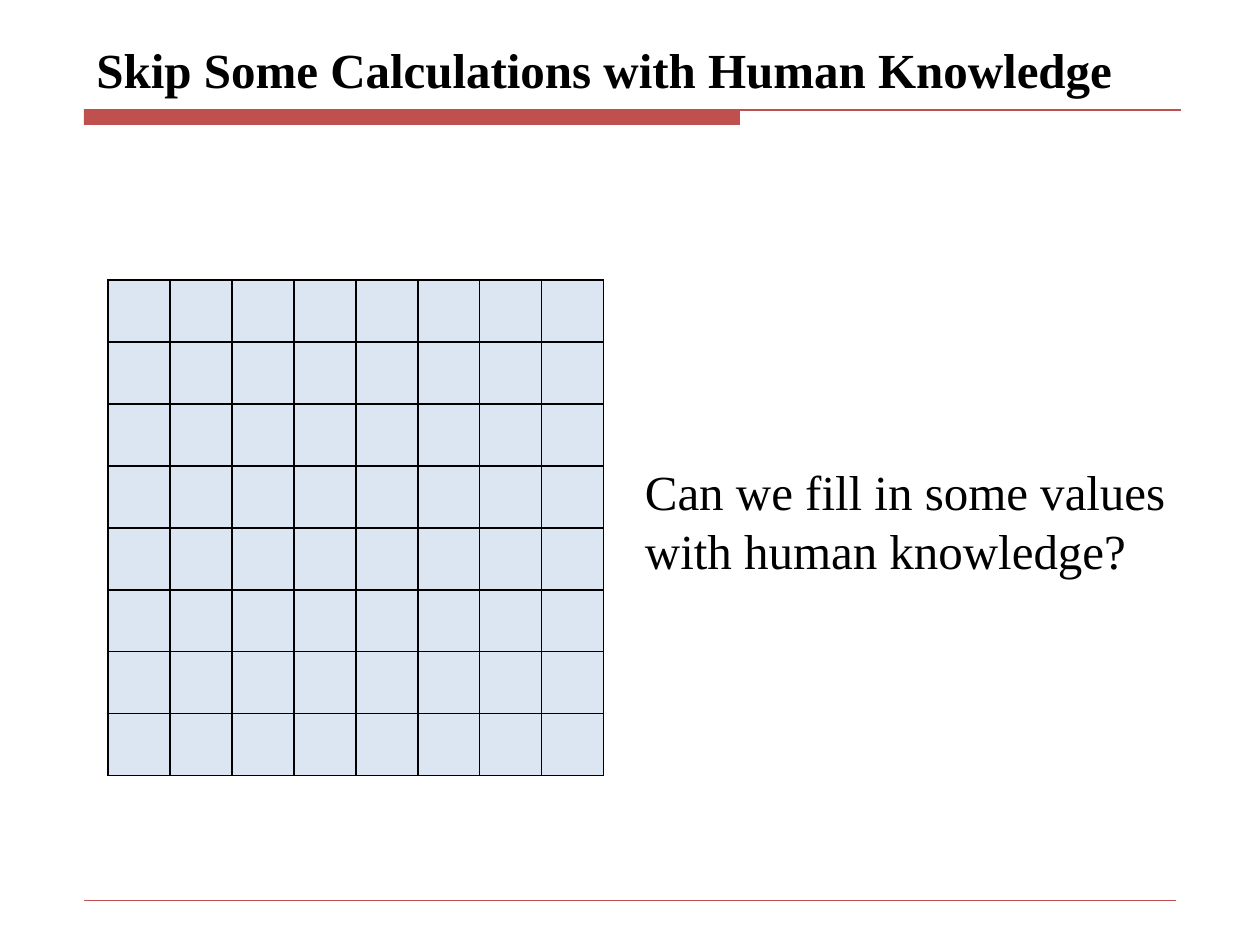
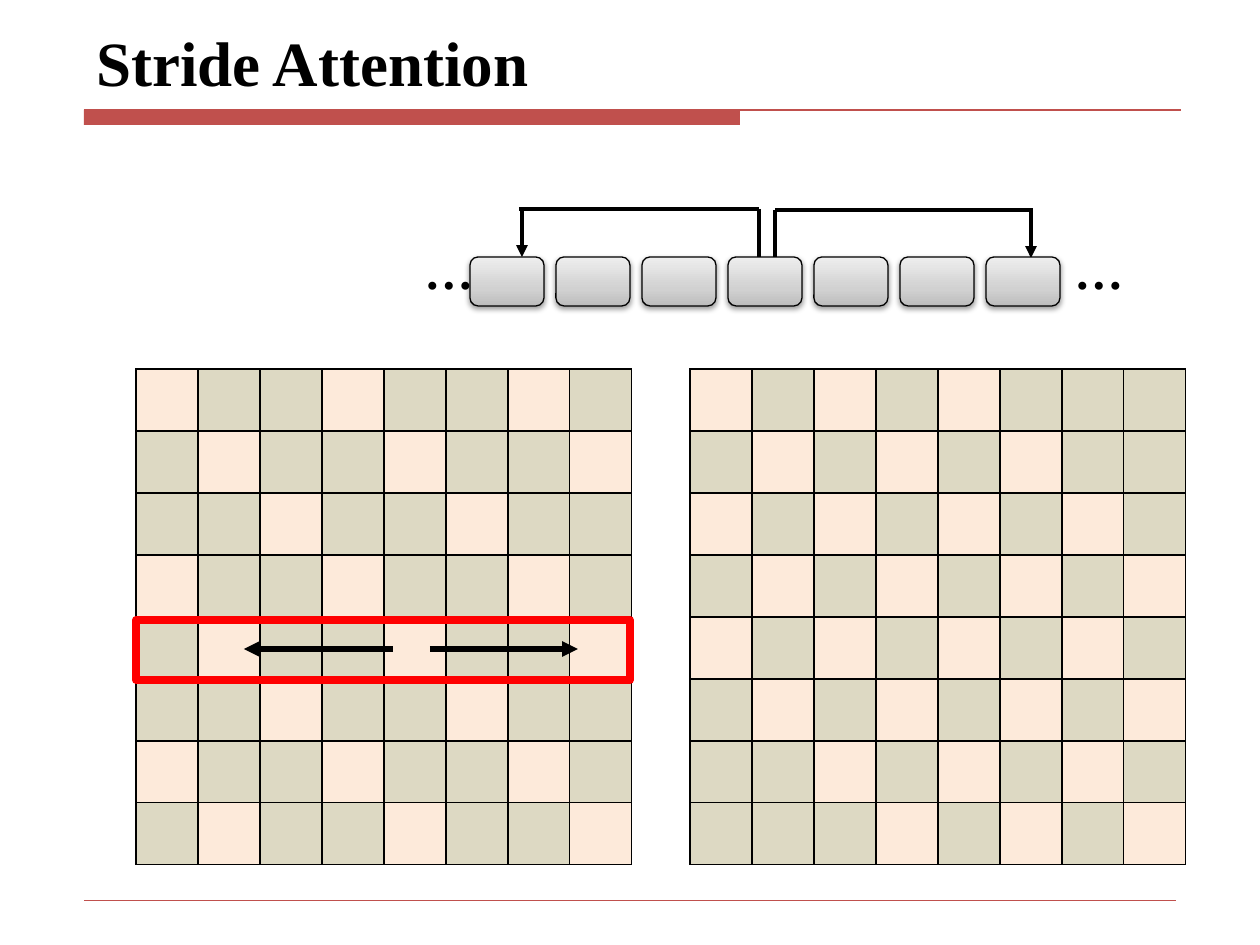
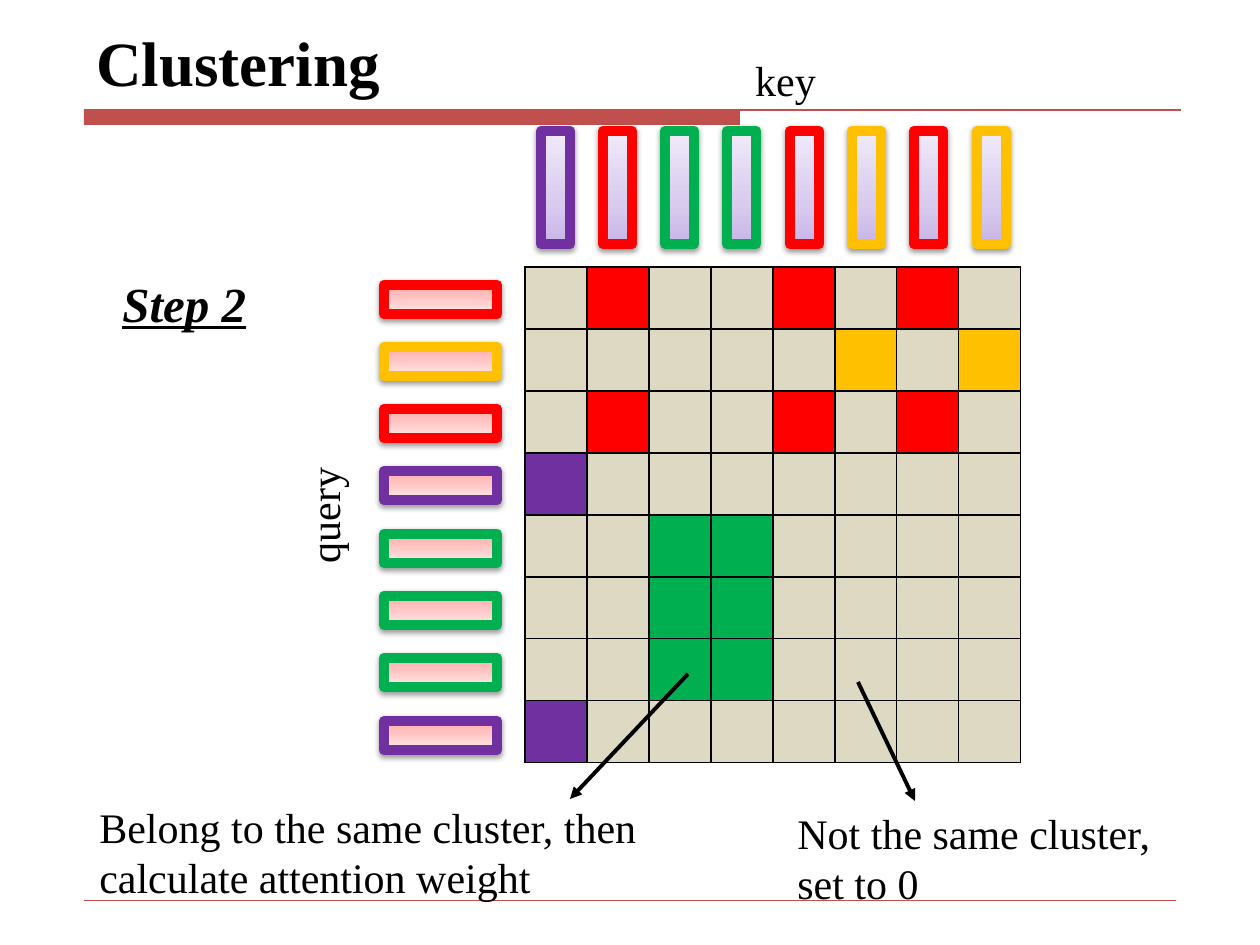
import lxml.etree
import pptx
import pptx.dml.color
import pptx.enum.shapes
import pptx.enum.text
import pptx.oxml.ns
import pptx.util

SCALE = 914400 / 126  # EMU in one px
WIDE, HIGH = 1260, 945
CELL, COUNT = 62, 8

BLACK = "000000"
ACCENT = "C0504D"
BLUE = "DCE6F2"
TAN = "DDD9C3"
PEACH = "FDEADA"
RED = "FF0000"
GOLD = "FFC000"
GREEN = "00B050"
PURPLE = "7030A0"
GRAYS = ("BDBDBD", "D1D1D1", "EEEEEE")
LILACS = ("C9B5E8", "D8CBEE", "F0EAF9")
PINKS = ("FFA6A5", "FFC0BF", "FFE7E7")

FORMS = pptx.enum.shapes.MSO_SHAPE
ALIGN = pptx.enum.text.PP_ALIGN


def emu(*sizes):
    return [round(size * SCALE) for size in sizes]


def color(code):
    return pptx.dml.color.RGBColor.from_string(code)


def add(parent, tag, **attrs):
    """Append a drawing element such as a:ln and return it."""
    return lxml.etree.SubElement(parent, pptx.oxml.ns.qn(tag), attrs)


class Deck:
    """Holds the shared style and the slide being drawn."""

    font = "Times New Roman"

    def __init__(self):
        self.file = pptx.Presentation()
        self.file.slide_width, self.file.slide_height = emu(WIDE, HIGH)
        self.shapes = None

    def slide(self, title, size=36):
        """Start a slide with its title, band and footer rule."""
        self.shapes = self.file.slides.add_slide(self.file.slide_layouts[6]).shapes
        self.shape(84, 110, 656, 15, fill=ACCENT)
        self.line(84, 110, 1181, 110, 0.75, ACCENT)
        self.line(84, 900, 1176, 900, 0.25, ACCENT)
        box = self.text(title, 84, 26, 1101, 79, size, bold=True)
        box.text_frame.vertical_anchor = pptx.enum.text.MSO_ANCHOR.BOTTOM

    def text(self, words, left, top, width, height, size, bold=False,
             slant=False, align=ALIGN.LEFT, turn=0, inset=None):
        box = self.shapes.add_textbox(*emu(left, top, width, height))
        box.rotation = turn
        frame = box.text_frame
        frame.word_wrap = True
        if inset is not None:
            frame.margin_left = frame.margin_right = inset
            frame.margin_top = frame.margin_bottom = inset
        frame.text = words
        line = frame.paragraphs[0]
        line.alignment = align
        font = line.runs[0].font
        font.name, font.size = self.font, pptx.util.Pt(size)
        font.bold, font.italic, font.underline = bold, slant, slant
        font.color.rgb = color(BLACK)
        return box

    def shape(self, left, top, width, height, form=FORMS.RECTANGLE,
              fill=None, edge=None, weight=0.75):
        shape = self.shapes.add_shape(form, *emu(left, top, width, height))
        shape.shadow.inherit = False
        if fill:
            shape.fill.solid()
            shape.fill.fore_color.rgb = color(fill)
        else:
            shape.fill.background()
        if edge:
            shape.line.color.rgb = color(edge)
            shape.line.width = pptx.util.Pt(weight)
        else:
            shape.line.fill.background()
        return shape

    def glossy(self, left, top, width, height, shades, angle=90, **style):
        """Add a shape with a three-stop gradient and a soft shadow."""
        shape = self.shape(left, top, width, height, **style)
        shape.fill.gradient()
        shape.fill.gradient_angle = angle
        stops = shape.element.find(".//" + pptx.oxml.ns.qn("a:gsLst"))
        stops.clear()
        for place, shade in zip((0, 35, 100), shades):
            stop = add(stops, "a:gs", pos=str(place * 1000))
            add(stop, "a:srgbClr", val=shade)
        effects = shape.element.spPr.find(pptx.oxml.ns.qn("a:effectLst"))
        shadow = add(effects, "a:outerShdw", blurRad="40000", dist="20000",
                     dir="5400000", rotWithShape="0")
        tint = add(shadow, "a:srgbClr", val=BLACK)
        add(tint, "a:alpha", val="38000")

    def line(self, left, top, right, base, weight, shade=BLACK, arrow=False):
        line = self.shapes.add_connector(
            pptx.enum.shapes.MSO_CONNECTOR.STRAIGHT, *emu(left, top, right, base))
        line.line.color.rgb = color(shade)
        line.line.width = pptx.util.Pt(weight)
        if arrow:
            add(line.line._get_or_add_ln(), "a:tailEnd", type="triangle")
        add(line.element.spPr, "a:effectLst")

    def hook(self, start, end, top, over):
        """Draw an arrow that rises, runs across and drops onto a block."""
        base = top + 48
        self.line(start, top, start, base, 2.25)
        self.line(end, top, end, base, 2.25, arrow=True)
        self.line(end + over, top, start, top, 2.25)

    def grid(self, left, top, shade):
        """Add the square table; shade(row, col) gives each cell's colour."""
        side = CELL * COUNT
        table = self.shapes.add_table(
            COUNT, COUNT, *emu(left, top, side, side)).table
        table.first_row = table.horz_banding = False
        for strip in table.columns:
            strip.width = emu(CELL)[0]
        for row, strip in enumerate(table.rows):
            strip.height = emu(CELL)[0]
            for col, cell in enumerate(strip.cells):
                props = cell._tc.get_or_add_tcPr()
                for side in "LRTB":
                    edge = add(props, "a:ln" + side, w="12700")
                    add(add(edge, "a:solidFill"), "a:srgbClr", val=BLACK)
                cell.fill.solid()
                cell.fill.fore_color.rgb = color(shade(row, col))


def skip(deck):
    deck.slide("Skip Some Calculations with Human Knowledge", 28)
    deck.grid(108, 280, lambda row, col: BLUE)
    deck.text("Can we fill in some values with human knowledge?",
              645, 462, 582, 118, 28, inset=0)


def stride(deck):
    deck.slide("Stride Attention")
    deck.grid(690, 369, lambda row, col: PEACH
              if abs(row - col) in (0, 2, 4) else TAN)
    deck.grid(136, 369, lambda row, col: PEACH
              if (row - col) % 3 == 0 else TAN)

    for left in (412, 1062):
        deck.text("…", left, 234, 111, 72, 28, bold=True)
    deck.hook(759, 522, 209, -3)
    deck.hook(775, 1031, 210, 2)
    for index in range(7):
        deck.glossy(470 + 86 * index, 257, 74, 49, GRAYS,
                    form=FORMS.ROUNDED_RECTANGLE, edge=BLACK)

    deck.shape(136, 620, 494, 60, edge=RED, weight=4.5)
    for start, end in ((393, 244), (430, 578)):
        deck.line(start, 649, end, 649, 3, arrow=True)


def cluster(deck):
    keys = (PURPLE, RED, GREEN, GREEN, RED, GOLD, RED, GOLD)
    queries = (RED, GOLD, RED, PURPLE, GREEN, GREEN, GREEN, PURPLE)
    deck.slide("Clustering")
    for index, (key, query) in enumerate(zip(keys, queries)):
        step = 436 * index // 7
        deck.glossy(541 + step, 131, 29, 113, LILACS, edge=key, weight=6)
        deck.glossy(384, 285 + step, 113, 29, PINKS, angle=270,
                    edge=query, weight=6)
    deck.grid(525, 267, lambda row, col: keys[col]
              if keys[col] == queries[row] else TAN)

    deck.text("key", 645, 48, 281, 63, 24, align=ALIGN.CENTER)
    deck.text("query", 183, 484, 281, 63, 24, align=ALIGN.CENTER, turn=270)
    deck.text("Step 2", 110, 267, 200, 72, 28, bold=True, slant=True)
    deck.text("Belong to the same cluster, then calculate attention weight",
              87, 795, 607, 115, 24)
    deck.line(688, 674, 570, 799, 2.25, arrow=True)
    deck.line(858, 682, 915, 801, 2.25, arrow=True)
    deck.text("Not the same cluster, set to 0", 785, 801, 431, 115, 24)


def main():
    deck = Deck()
    skip(deck)
    stride(deck)
    cluster(deck)
    deck.file.save("out.pptx")


if __name__ == "__main__":
    main()
